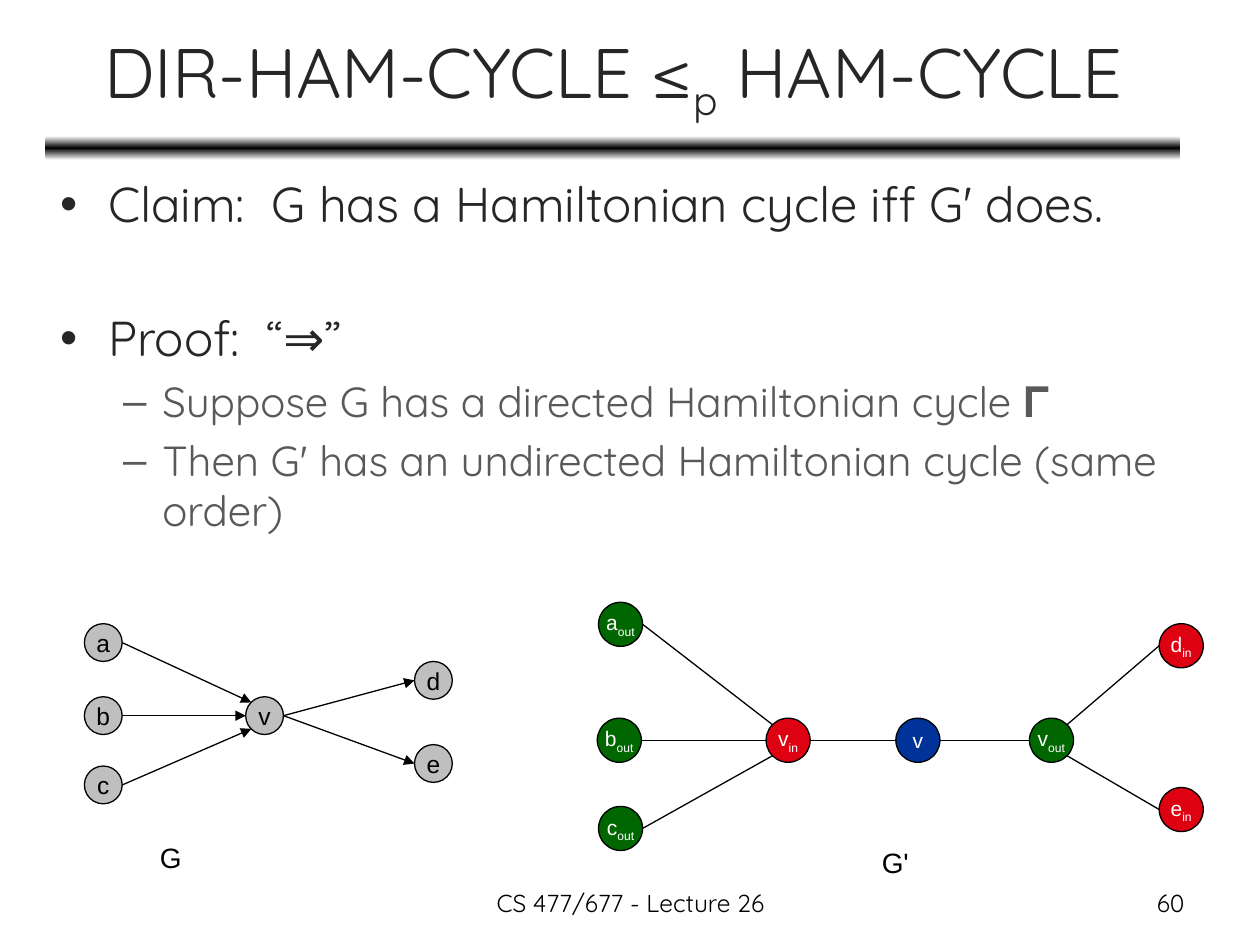
import pptx
import pptx.util
import pptx.dml.color
import pptx.enum.shapes
import pptx.enum.text
import pptx.oxml
import pptx.oxml.ns
import lxml.etree

PX = 9144  # 100 px to the inch
SANS, HEAD = "Arial", "Quicksand"
BLACK, WHITE, DARK, SOFT = "000000", "FFFFFF", "262626", "595959"
GREY, RED, GREEN, BLUE = "BFBFBF", "DD0111", "006600", "003399"
ALIGN = pptx.enum.text.PP_ALIGN
ANCHOR = pptx.enum.text.MSO_ANCHOR
KIND = pptx.enum.shapes.MSO_SHAPE

# Text between bars is set as a subscript
TITLE = "DIR-HAM-CYCLE ≤|p| HAM-CYCLE"
# text, level, space before in points
BODY = [
    ("Claim:  G has a Hamiltonian cycle iff G' does.", 0, 0),
    ("Proof:  “⇒”", 0, 43),
    ("Suppose G has a directed Hamiltonian cycle 𝚪", 1, 5),
    ("Then G' has an undirected Hamiltonian cycle (same order)", 1, 5),
]
# bullet, left margin px, hanging px, size, colour
LEVELS = [("•", 38, 38, 28, DARK), ("–", 81, 31, 24, SOFT)]
# text, left, top, width, height, align, size, font
LABELS = [
    ("G", 117, 662, 100, 41, ALIGN.LEFT, 16, SANS),
    ("G'", 690, 666, 100, 41, ALIGN.LEFT, 16, SANS),
    ("CS 477/677 - Lecture 26", 342, 700, 317, 35, ALIGN.CENTER, 14, HEAD),
    ("60", 717, 700, 233, 35, ALIGN.RIGHT, 14, HEAD),
]
# Each graph: nodes as text, left, top, fill; edges as node, side, node, side
GRAPHS = [
    {"size": 30, "font": 14, "ink": BLACK, "arrow": True,
     "nodes": {"a": ("a", 67, 495, GREY), "b": ("b", 67, 553, GREY),
               "c": ("c", 67, 608, GREY), "v": ("v", 195, 553, GREY),
               "d": ("d", 329, 525, GREY), "e": ("e", 329, 591, GREY)},
     "edges": ["a r v tl", "b r v l", "c r v bl", "v r d l", "v r e l"]},
    {"size": 35, "font": 12, "ink": WHITE, "arrow": False,
     "nodes": {"a": ("a|out", 475, 478, GREEN), "b": ("b|out", 474, 570, GREEN),
               "c": ("c|out", 475, 640, GREEN), "in": ("v|in", 608, 570, RED),
               "v": ("v", 711, 570, BLUE), "out": ("v|out", 817, 570, GREEN),
               "d": ("d|in", 920, 495, RED), "e": ("e|in", 920, 625, RED)},
     "edges": ["a r in tl", "b r in l", "c r in bl", "in r v l",
               "v r out l", "out tr d l", "out br e l"]},
]
# Points on a circle, as parts of its diameter
SIDES = {"l": (0, 0.5), "r": (1, 0.5), "tl": (0.15, 0.15), "bl": (0.15, 0.85),
         "tr": (0.85, 0.15), "br": (0.85, 0.85)}


def emu(*px):
    return [round(n * PX) for n in px]


def rgb(code):
    return pptx.dml.color.RGBColor.from_string(code)


def child(parent, tag, **attrs):
    return lxml.etree.SubElement(parent, pptx.oxml.ns.qn(tag), attrs)


def write(para, text, size, font, ink):
    for i, part in enumerate(text.split("|")):
        run = para.add_run()
        run.text = part
        run.font.size = pptx.util.Pt(size)
        run.font.name = font
        run.font.color.rgb = rgb(ink)
        if i % 2:
            run._r.get_or_add_rPr().set("baseline", "-25000")


def box(slide, *at):
    frame = slide.shapes.add_textbox(*emu(*at)).text_frame
    frame.word_wrap = True
    return frame


def rule(slide):
    bar = slide.shapes.add_shape(KIND.ROUNDED_RECTANGLE, *emu(36, 108, 901, 19))
    bar.shadow.inherit = False
    bar.line.fill.background()
    bar.fill.gradient()
    bar.fill.gradient_angle = 270
    stops = bar._element.spPr.find(".//" + pptx.oxml.ns.qn("a:gsLst"))
    stops.clear()
    for pos, code in ((0, WHITE), (50, BLACK), (100, WHITE)):
        child(child(stops, "a:gs", pos=str(pos * 1000)), "a:srgbClr", val=code)


def body(slide):
    frame = box(slide, 38, 133, 900, 555)
    for i, (text, level, gap) in enumerate(BODY):
        para = frame.add_paragraph() if i else frame.paragraphs[0]
        mark, left, hang, size, ink = LEVELS[level]
        para.level = level
        para.space_before = pptx.util.Pt(gap)
        props = para._p.get_or_add_pPr()
        props.set("marL", str(left * PX))
        props.set("indent", str(-hang * PX))
        child(props, "a:buFont", typeface=SANS)
        child(props, "a:buChar", char=mark)
        write(para, text, size, HEAD, ink)


def edge(slide, graph, line):
    start, out, end, into = line.split()
    ends = []
    for name, side in ((start, out), (end, into)):
        _, left, top, _ = graph["nodes"][name]
        dx, dy = SIDES[side]
        ends += [left + dx * graph["size"], top + dy * graph["size"]]
    link = slide.shapes.add_connector(
        pptx.enum.shapes.MSO_CONNECTOR.STRAIGHT, *emu(*ends))
    link.line.color.rgb = rgb(BLACK)
    link.line.width = pptx.util.Pt(0.75)
    if graph["arrow"]:
        child(link.line._get_or_add_ln(), "a:tailEnd", type="triangle")
    child(link._element.spPr, "a:effectLst")


def node(slide, graph, text, left, top, fill):
    size = graph["size"]
    dot = slide.shapes.add_shape(KIND.OVAL, *emu(left, top, size, size))
    dot.shadow.inherit = False
    dot.fill.solid()
    dot.fill.fore_color.rgb = rgb(fill)
    dot.line.color.rgb = rgb(BLACK)
    dot.line.width = pptx.util.Pt(0.75)
    frame = dot.text_frame
    frame.word_wrap = False
    frame.vertical_anchor = ANCHOR.MIDDLE
    frame.paragraphs[0].alignment = ALIGN.CENTER
    write(frame.paragraphs[0], text, graph["font"], SANS, graph["ink"])


def main():
    deck = pptx.Presentation()
    deck.slide_width, deck.slide_height = emu(1000, 750)
    slide = deck.slides.add_slide(deck.slide_layouts[6])

    # Title, rule and text
    rule(slide)
    frame = box(slide, 37, 11, 900, 99)
    frame.vertical_anchor = ANCHOR.MIDDLE
    frame.paragraphs[0].alignment = ALIGN.CENTER
    write(frame.paragraphs[0], TITLE, 40, HEAD, DARK)
    body(slide)

    # Both graphs
    for graph in GRAPHS:
        for line in graph["edges"]:
            edge(slide, graph, line)
        for item in graph["nodes"].values():
            node(slide, graph, *item)

    # Graph names and footer
    for text, left, top, width, height, align, size, font in LABELS:
        para = box(slide, left, top, width, height).paragraphs[0]
        para.alignment = align
        write(para, text, size, font, BLACK)

    deck.save("out.pptx")


if __name__ == "__main__":
    main()
